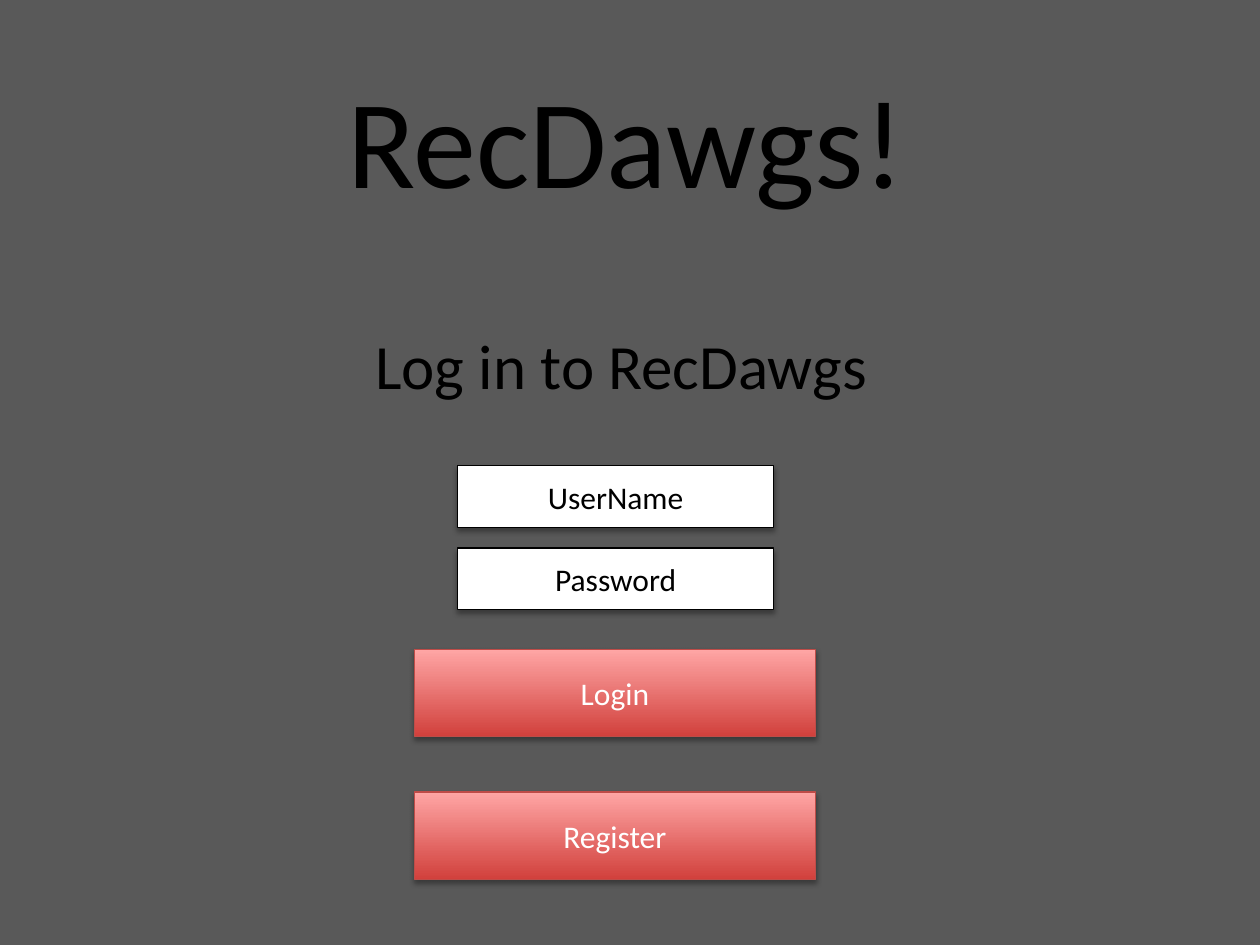
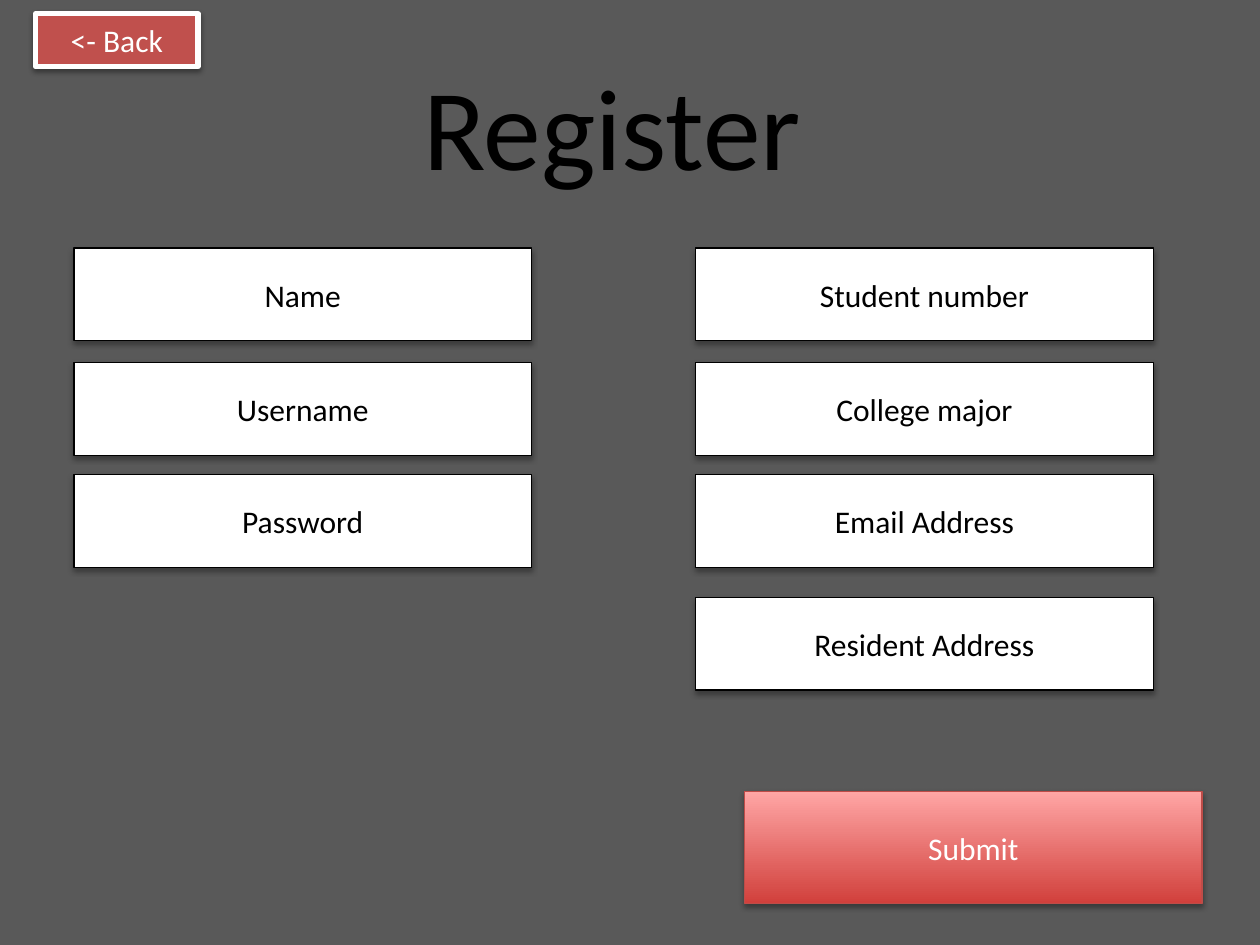
from dataclasses import dataclass

from lxml import etree
from pptx import Presentation
from pptx.dml.color import RGBColor
from pptx.enum import shapes, text
from pptx.oxml import ns
from pptx.util import Pt


@dataclass(frozen=True)
class Theme:
    font: str = "Calibri"
    background: str = "595959"
    ink: str = "000000"
    paper: str = "FFFFFF"
    red: str = "C0504D"
    red_edge: str = "BF4C48"
    red_low: str = "D1403C"
    red_high: str = "FFA6A5"
    hero_size: int = 72
    title_size: int = 66
    subtitle_size: int = 36
    body_size: int = 18


THEME = Theme()


def rgb(code):
    return RGBColor.from_string(code)


# Text
def write(frame, words, *, size=THEME.body_size, color=THEME.ink, align=None):
    para = frame.paragraphs[0]
    para.alignment = align
    span = para.add_run()
    span.text = words
    span.font.name = THEME.font
    span.font.size = Pt(size)
    span.font.color.rgb = rgb(color)


def add_heading(page, words, area, *, size, wrap=False):
    box = page.shapes.add_textbox(*map(Pt, area))
    box.text_frame.word_wrap = wrap
    box.text_frame.auto_size = text.MSO_AUTO_SIZE.SHAPE_TO_FIT_TEXT
    write(box.text_frame, words, size=size)


# Form elements
def add_shadow(box, *, distance=1.8, opacity=35):
    box.shadow.inherit = False
    effects = box._element.spPr.find(ns.qn("a:effectLst"))
    shadow = etree.SubElement(
        effects, ns.qn("a:outerShdw"), blurRad=str(Pt(3.1)),
        dist=str(Pt(distance)), dir="5400000", rotWithShape="0")
    color = etree.SubElement(shadow, ns.qn("a:srgbClr"), val=THEME.ink)
    etree.SubElement(color, ns.qn("a:alpha"), val=str(opacity * 1000))


def add_box(page, words, area, *, fill, edge, edge_width=0.75, color, **shadow):
    """Draw a labelled box; a pair of fills runs from bottom to top."""
    box = page.shapes.add_shape(shapes.MSO_SHAPE.RECTANGLE, *map(Pt, area))
    if isinstance(fill, tuple):
        box.fill.gradient()
        box.fill.gradient_angle = 90
        for stop, code in zip(box.fill.gradient_stops, fill):
            stop.color.rgb = rgb(code)
    else:
        box.fill.solid()
        box.fill.fore_color.rgb = rgb(fill)
    box.line.color.rgb = rgb(edge)
    box.line.width = Pt(edge_width)
    add_shadow(box, **shadow)
    box.text_frame.word_wrap = True
    box.text_frame.vertical_anchor = text.MSO_ANCHOR.MIDDLE
    write(box.text_frame, words, color=color, align=text.PP_ALIGN.CENTER)


def add_field(page, words, area):
    add_box(page, words, area, fill=THEME.paper, edge=THEME.ink, color=THEME.ink)


def add_button(page, words, area):
    add_box(page, words, area, fill=(THEME.red_low, THEME.red_high),
            edge=THEME.red_edge, color=THEME.paper)


def add_back_button(page, words, area):
    add_box(page, words, area, fill=THEME.red, edge=THEME.paper, edge_width=3,
            color=THEME.paper, distance=1.6, opacity=38)


# Pages
def add_page(deck):
    page = deck.slides.add_slide(deck.slide_layouts[6])
    page.background.fill.solid()
    page.background.fill.fore_color.rgb = rgb(THEME.background)
    return page


def build_login(deck):
    page = add_page(deck)
    add_heading(page, "RecDawgs!", (191.5, 32.4, 339, 94.3), size=THEME.hero_size)
    add_heading(page, "Log in to RecDawgs", (207.4, 182.9, 299.5, 51),
                size=THEME.subtitle_size)
    for row, label in enumerate(("UserName", "Password")):
        add_field(page, label, (261.4, 266.2 + row * 47, 180.7, 35.3))
    for row, label in enumerate(("Login", "Register")):
        add_button(page, label, (236.9, 371 + row * 81.6, 229, 50))


def build_register(deck):
    page = add_page(deck)
    add_heading(page, "Register", (234.7, 28.1, 325.4, 87.1),
                size=THEME.title_size, wrap=True)
    add_button(page, "Submit", (425.5, 452.2, 261.4, 64.1))

    # Two columns of fields on shared rows
    row_tops = (141.8, 207.2, 271.2, 341.3)
    columns = {
        42.3: ("Name", "Username", "Password"),
        397.6: ("Student number", "College major", "Email Address",
                "Resident Address"),
    }
    for left, labels in columns.items():
        for top, label in zip(row_tops, labels):
            add_field(page, label, (left, top, 261.4, 53))

    add_back_button(page, "<- Back", (20.3, 7.9, 92.9, 30.2))


def main():
    deck = Presentation()
    deck.slide_width, deck.slide_height = Pt(720), Pt(540)
    build_login(deck)
    build_register(deck)
    deck.save("out.pptx")


if __name__ == "__main__":
    main()
